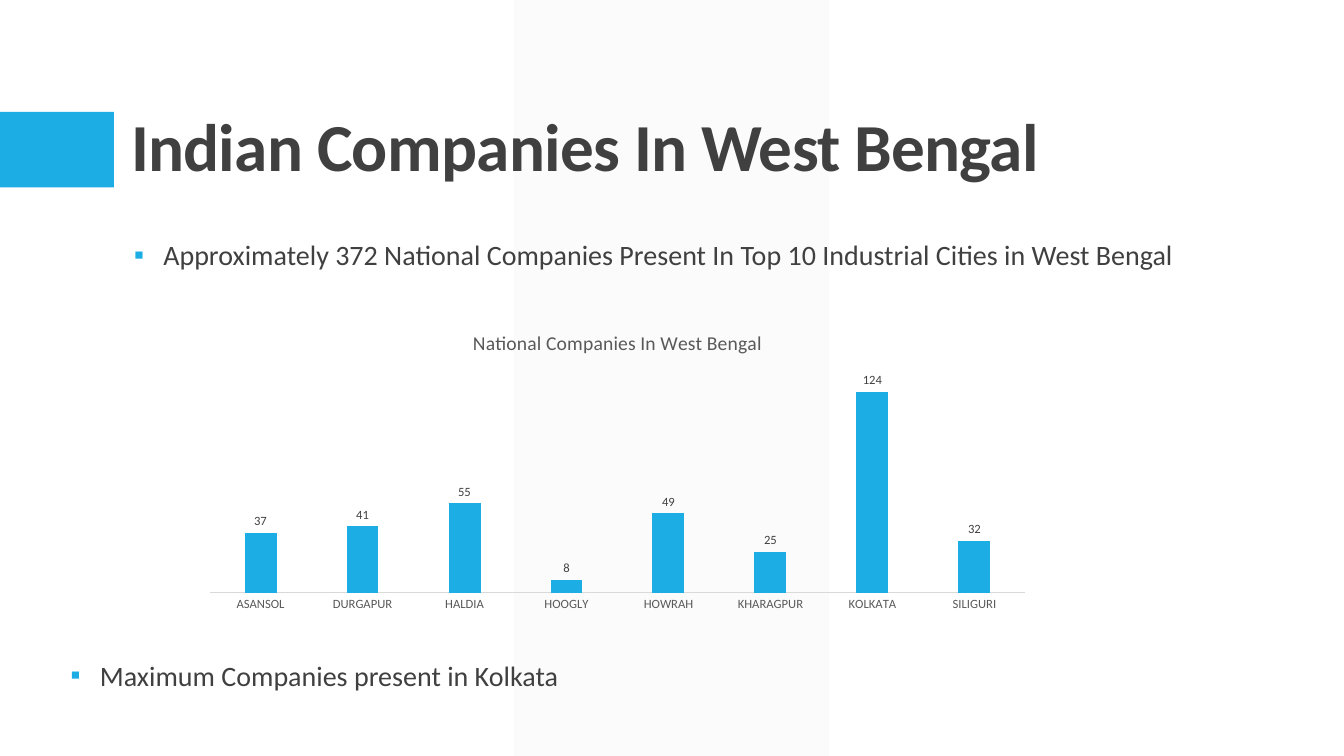
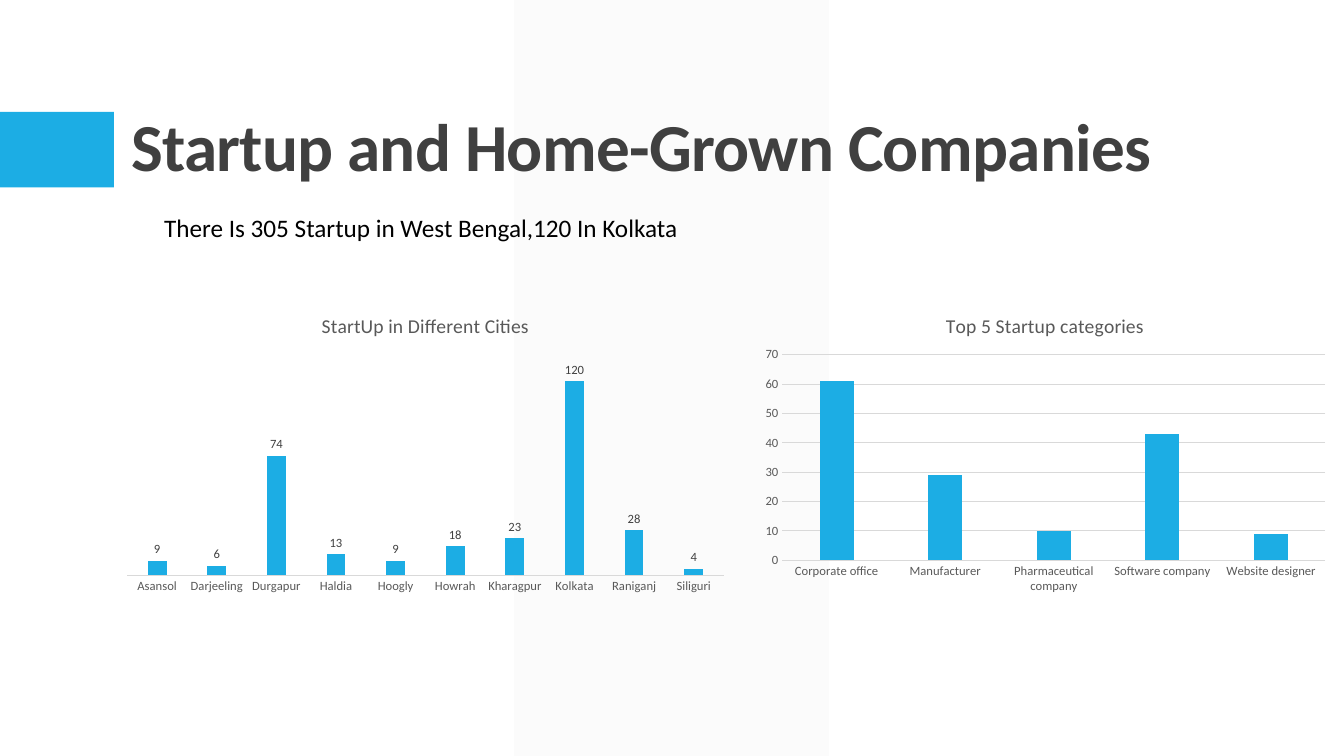
from dataclasses import dataclass

from lxml.etree import SubElement
from pptx import Presentation
from pptx.chart.data import CategoryChartData
from pptx.dml.color import RGBColor
from pptx.enum.chart import XL_CHART_TYPE, XL_LABEL_POSITION, XL_TICK_MARK
from pptx.enum.shapes import MSO_SHAPE
from pptx.enum.text import MSO_ANCHOR, MSO_AUTO_SIZE, PP_ALIGN
from pptx.oxml import parse_xml
from pptx.oxml.ns import nsdecls, qn
from pptx.util import Pt

EMU_PER_PX = 9144


@dataclass(frozen=True)
class Theme:
    font: str = "Calibri"
    accent: str = "1CADE4"
    band: str = "F2F2F2"
    ink: str = "404040"
    muted: str = "595959"
    rule: str = "D9D9D9"
    black: str = "000000"
    title_size: int = 48
    bullet_size: int = 20
    note_size: int = 18
    chart_title_size: int = 14
    chart_size: int = 10
    label_size: int = 9


THEME = Theme()


def px(length):
    return length * EMU_PER_PX


def frame(*lengths):
    return [px(length) for length in lengths]


def place(shape, *lengths):
    shape.left, shape.top, shape.width, shape.height = frame(*lengths)


def style_font(font, size, color, bold=False):
    font.name = THEME.font
    font.size = Pt(size)
    font.bold = bold
    font.color.rgb = RGBColor.from_string(color)


def style_line(line, color):
    line.color.rgb = RGBColor.from_string(color)
    line.width = Pt(0.75)


def add_block(slide, kind, lengths, color):
    block = slide.shapes.add_shape(kind, *frame(*lengths))
    block.shadow.inherit = False
    block.fill.solid()
    block.fill.fore_color.rgb = RGBColor.from_string(color)
    block.line.fill.background()
    return block


def decorate_master(deck, slide):
    band = add_block(slide, MSO_SHAPE.PARALLELOGRAM, (510, 0, 312, 750), THEME.band)
    band.adjustments[0] = 0
    color = band.element.spPr.find(f"{qn('a:solidFill')}/{qn('a:srgbClr')}")
    SubElement(color, qn("a:alpha"), val="30000")
    bar = add_block(slide, MSO_SHAPE.RECTANGLE, (0, 111, 113, 75), THEME.accent)
    tree = deck.slide_master.shapes.element
    for index, block in enumerate((band, bar), start=2):
        tree.insert(index, block.element)


def add_page(deck, layout_index, title_text):
    page = deck.slides.add_slide(deck.slide_layouts[layout_index])
    title = page.shapes.title
    place(title, 120, 31, 1100, 159)
    text = title.text_frame
    text.text = title_text
    text.auto_size = MSO_AUTO_SIZE.NONE
    text.vertical_anchor = MSO_ANCHOR.BOTTOM
    para = text.paragraphs[0]
    style_font(para.font, THEME.title_size, THEME.ink, bold=True)
    para.alignment = PP_ALIGN.LEFT
    para.line_spacing = 0.9
    for properties in title.element.iter(qn("a:defRPr")):
        properties.set("spc", "-50")
    return page


def write_bullet(box, content):
    text = box.text_frame
    text.word_wrap = True
    text.auto_size = MSO_AUTO_SIZE.NONE
    text.margin_left = text.margin_right = 0
    text.margin_top = text.margin_bottom = px(5)
    text.text = content
    para = text.paragraphs[0]
    style_font(para.font, THEME.bullet_size, THEME.ink)
    para.space_before, para.space_after = Pt(12), Pt(2)
    for properties in box.element.iter(qn("a:pPr")):
        properties.set("marL", str(px(29)))
        properties.set("indent", str(px(-29)))
        defaults = properties.find(qn("a:defRPr"))
        for bullet in (
            f'<a:buClr {nsdecls("a")}><a:srgbClr val="{THEME.accent}"/></a:buClr>',
            f'<a:buFont {nsdecls("a")} typeface="{THEME.font}"/>',
            f'<a:buChar {nsdecls("a")} char="▪"/>',
        ):
            defaults.addprevious(parse_xml(bullet))


def add_note(page, lengths, content):
    text = page.shapes.add_textbox(*frame(*lengths)).text_frame
    text.word_wrap = True
    text.text = content
    style_font(text.paragraphs[0].font, THEME.note_size, THEME.black)


def clear_background(chart):
    properties = f'<c:spPr {nsdecls("c", "a")}><a:noFill/><a:ln><a:noFill/></a:ln></c:spPr>'
    body = chart.element.find(qn("c:chart"))
    body.addnext(parse_xml(properties))
    body.find(qn("c:plotArea")).append(parse_xml(properties))


def place_plot(chart, *fractions):
    area = chart.element.find(f"{qn('c:chart')}/{qn('c:plotArea')}")
    for layout in area.findall(qn("c:layout")):
        area.remove(layout)
    layout = parse_xml(f'<c:layout {nsdecls("c")}/>')
    manual = SubElement(layout, qn("c:manualLayout"))
    settings = [("layoutTarget", "inner"), ("xMode", "edge"), ("yMode", "edge")]
    settings += zip("xywh", map(str, fractions))
    for name, value in settings:
        SubElement(manual, qn(f"c:{name}"), val=value)
    area.insert(0, layout)


def style_axes(chart, top, step, show_values):
    categories, values = chart.category_axis, chart.value_axis
    for axis in (categories, values):
        axis.major_tick_mark = axis.minor_tick_mark = XL_TICK_MARK.NONE
        style_font(axis.tick_labels.font, THEME.label_size, THEME.muted)
    style_line(categories.format.line, THEME.rule)
    values.minimum_scale, values.maximum_scale = 0, top
    values.major_unit = step
    values.visible = show_values
    values.has_major_gridlines = show_values
    if show_values:
        values.format.line.fill.background()
        style_line(values.major_gridlines.format.line, THEME.rule)


def add_column_chart(page, lengths, title, counts, plot_area, top, step, show_values=False):
    data = CategoryChartData()
    data.categories = list(counts)
    data.add_series("Series 1", list(counts.values()))
    chart = page.shapes.add_chart(
        XL_CHART_TYPE.COLUMN_CLUSTERED, *frame(*lengths), data
    ).chart
    clear_background(chart)
    style_font(chart.font, THEME.chart_size, THEME.black)
    chart.has_legend = False
    chart.has_title = True
    heading = chart.chart_title.text_frame
    heading.text = title
    style_font(heading.paragraphs[0].font, THEME.chart_title_size, THEME.muted)
    style_axes(chart, top, step, show_values)
    place_plot(chart, *plot_area)

    plot = chart.plots[0]
    plot.gap_width, plot.overlap = 219, -27
    plot.vary_by_categories = False
    fill = plot.series[0].format.fill
    fill.solid()
    fill.fore_color.rgb = RGBColor.from_string(THEME.accent)
    if not show_values:
        plot.has_data_labels = True
        labels = plot.data_labels
        labels.show_value = True
        labels.position = XL_LABEL_POSITION.OUTSIDE_END
        style_font(labels.font, THEME.label_size, THEME.ink)


def add_national_page(deck):
    page = add_page(deck, 1, "Indian Companies In West Bengal")
    body = page.placeholders[1]
    place(body, 133, 231, 1100, 58)
    write_bullet(
        body,
        "Approximately 372 National Companies Present In Top 10 Industrial Cities in West Bengal",
    )
    counts = {
        "ASANSOL": 37, "DURGAPUR": 41, "HALDIA": 55, "HOOGLY": 8,
        "HOWRAH": 49, "KHARAGPUR": 25, "KOLKATA": 124, "SILIGURI": 32,
    }
    add_column_chart(
        page, (191, 312, 843, 300), "National Companies In West Bengal",
        counts, (0.02, 0.17, 0.96, 0.75), 140, 20,
    )
    box = page.shapes.add_textbox(*frame(70, 648, 1100, 58))
    write_bullet(box, "Maximum Companies present in Kolkata")
    return page


def add_startup_page(deck):
    page = add_page(deck, 5, "Startup and Home-Grown Companies")
    cities = {
        "Asansol": 9, "Darjeeling": 6, "Durgapur": 74, "Haldia": 13, "Hoogly": 9,
        "Howrah": 18, "Kharagpur": 23, "Kolkata": 120, "Raniganj": 28, "Siliguri": 4,
    }
    add_column_chart(
        page, (114, 295, 616, 300), "StartUp in Different Cities",
        cities, (0.02, 0.17, 0.96, 0.75), 140, 20,
    )
    add_note(page, (153, 206, 582, 40), "There Is 305 Startup in West Bengal,120 In Kolkata")
    sectors = {
        "Corporate office": 61, "Manufacturer": 29, "Pharmaceutical company": 10,
        "Software company": 43, "Website designer": 9,
    }
    add_column_chart(
        page, (747, 295, 579, 300), "Top 5 Startup categories",
        sectors, (0.05, 0.19, 0.93, 0.68), 70, 10, show_values=True,
    )


def main():
    deck = Presentation()
    deck.slide_width, deck.slide_height = frame(1333, 750)
    first_page = add_national_page(deck)
    decorate_master(deck, first_page)
    add_startup_page(deck)
    deck.save("out.pptx")


if __name__ == "__main__":
    main()
